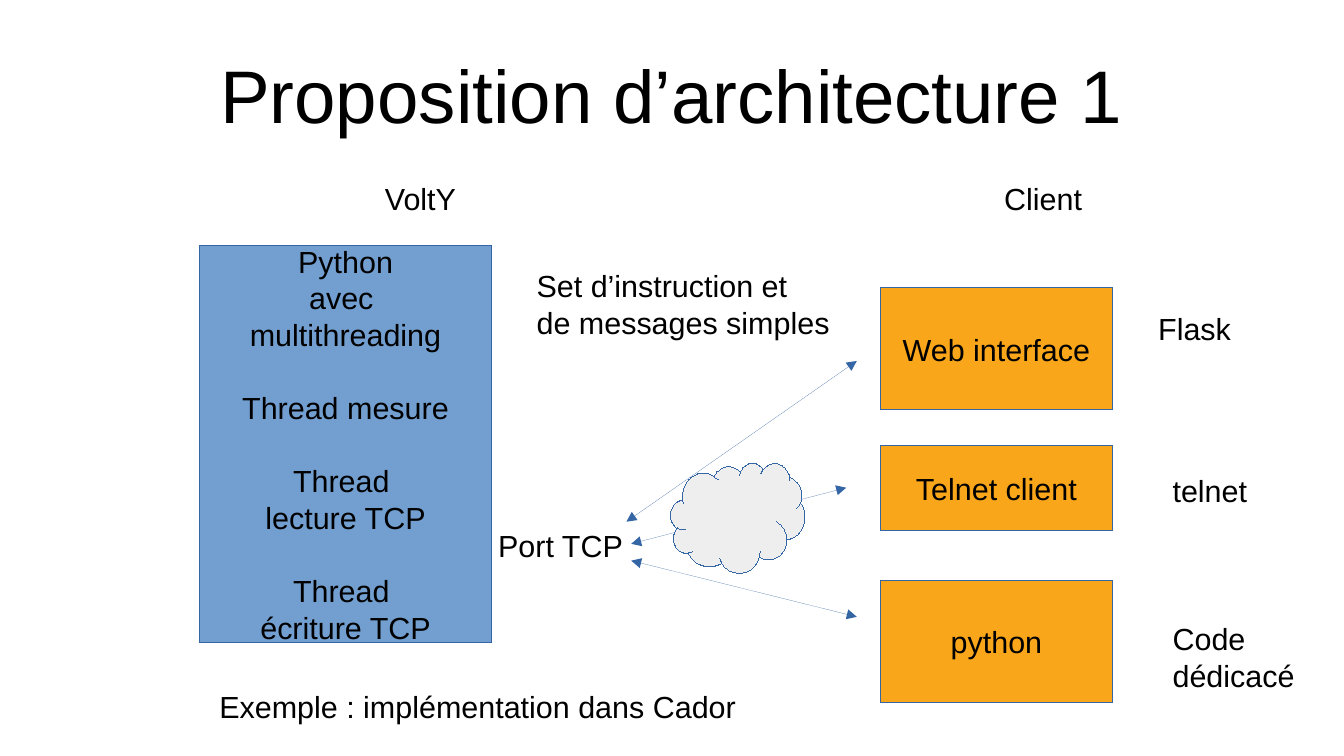
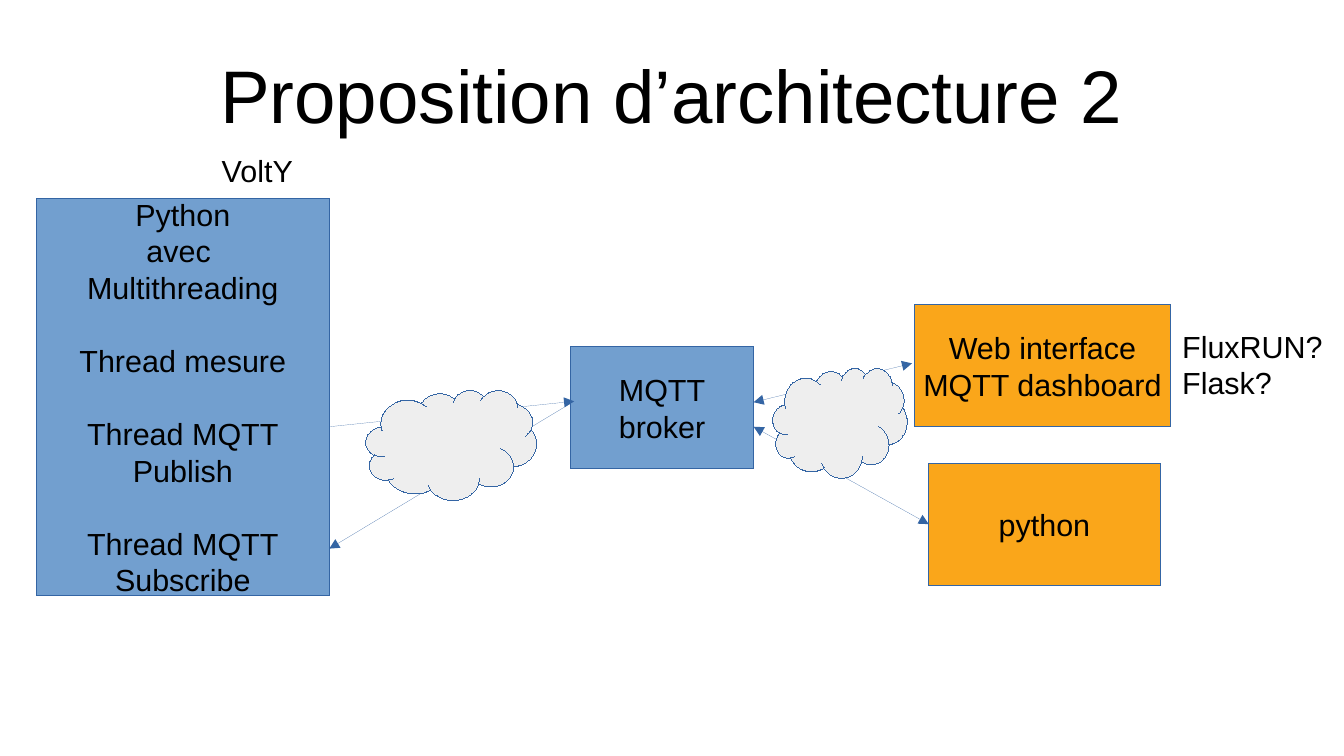
from lxml import etree
from pptx import Presentation, util as u
from pptx.dml.color import RGBColor
from pptx.enum import shapes, text
from pptx.oxml.ns import qn

BLACK = RGBColor(0x00, 0x00, 0x00)
BLUE = RGBColor(0x72, 0x9F, 0xCF)
ORANGE = RGBColor(0xFA, 0xA6, 0x1A)
GREY = RGBColor(0xEE, 0xEE, 0xEE)
OUTLINE = RGBColor(0x34, 0x65, 0xA4)

FONT = "Arial"
BODY_SIZE = 18
TITLE_SIZE = 44
BLOCK_GAP = 21.6  # one line of body text between blocks

DEVICE_SIZE = (6.1, 8.28)
CLIENT_SIZE = (4.82, 2.54)
CLOUD_SIZE = (2.8, 2.29)
LINE_HEIGHT = 0.7
CENTER = text.PP_ALIGN.CENTER


def lengths(*values):
    return [u.Cm(value) for value in values]


def write(shape, blocks, size=BODY_SIZE, align=text.PP_ALIGN.LEFT, wrap=True):
    """Write one paragraph per block, with a gap between blocks."""
    frame = shape.text_frame
    frame.word_wrap = wrap
    for index, block in enumerate(blocks):
        paragraph = frame.add_paragraph() if index else frame.paragraphs[0]
        paragraph.text = block.replace("\n", "\v")
        paragraph.alignment = align
        paragraph.space_before = u.Pt(BLOCK_GAP if index else 0)
        paragraph.font.name = FONT
        paragraph.font.size = u.Pt(size)
        paragraph.font.color.rgb = BLACK
    return frame


def draw_hairline(shape):
    """Give the shape a zero-width line, which must be written explicitly."""
    shape.line.color.rgb = OUTLINE
    properties = shape.line._get_or_add_ln()
    properties.set("w", "0")
    return properties


def add_title(slide, title):
    box = slide.shapes.add_textbox(*lengths(1.4, 0.63, 25.2, 2.64))
    frame = write(box, [title], TITLE_SIZE, CENTER)
    frame.vertical_anchor = text.MSO_ANCHOR.MIDDLE
    frame.margin_left = frame.margin_right = 0
    frame.margin_top = frame.margin_bottom = 0


def add_label(slide, label, left, top, width):
    height = 0.26 + LINE_HEIGHT * len(label.split("\n"))
    box = slide.shapes.add_textbox(*lengths(left, top, width, height))
    write(box, [label])


def add_outlined(slide, preset, position, size, color):
    shape = slide.shapes.add_shape(preset, *lengths(*position, *size))
    shape.shadow.inherit = False
    shape.fill.solid()
    shape.fill.fore_color.rgb = color
    draw_hairline(shape)
    return shape


def add_box(slide, blocks, left, top, size, color):
    shape = add_outlined(slide, shapes.MSO_SHAPE.RECTANGLE, (left, top), size, color)
    frame = write(shape, blocks, align=CENTER, wrap=False)
    frame.vertical_anchor = text.MSO_ANCHOR.MIDDLE
    return shape


def add_cloud(slide, left, top, size=CLOUD_SIZE):
    add_outlined(slide, shapes.MSO_SHAPE.CLOUD, (left, top), size, GREY)


def add_arrow(slide, start, end, heads=("headEnd", "tailEnd")):
    arrow = slide.shapes.add_connector(
        shapes.MSO_CONNECTOR.STRAIGHT, *lengths(*start, *end))
    properties = draw_hairline(arrow)
    for head in heads:
        etree.SubElement(properties, qn("a:" + head), type="triangle")
    etree.SubElement(arrow._element.spPr, qn("a:effectLst"))
    return arrow


def add_slide(presentation, title):
    slide = presentation.slides.add_slide(presentation.slide_layouts[6])
    add_title(slide, title)
    return slide


def build_tcp_slide(presentation):
    slide = add_slide(presentation, "Proposition d’architecture 1")

    # Device and clients
    add_box(slide, ["Python\navec \nmultithreading", "Thread mesure",
                    "Thread \nlecture TCP", "Thread \nécriture TCP"],
            4.15, 5.11, DEVICE_SIZE, BLUE)
    client_left, client_width = 18.35, CLIENT_SIZE[0]
    for name, top, height in (("Web interface", 6, 2.54),
                              ("Telnet client", 9.28, 1.78),
                              ("python", 12.09, 2.54)):
        add_box(slide, [name], client_left, top, (client_width, height), ORANGE)

    # Links through the network
    for start, end in (((13.15, 11.33), (17.63, 10.16)),
                       ((13.15, 11.68), (17.85, 12.85)),
                       ((13.05, 10.87), (17.85, 7.52))):
        add_arrow(slide, start, end)
    add_cloud(slide, 13.97, 9.65)

    # Labels
    for label, left, top, width in (
            ("VoltY", 7.77, 3.62, 3),
            ("Client", 20.67, 3.62, 3),
            ("Set d’instruction et\nde messages simples", 10.93, 5.44, 7.2),
            ("Port TCP", 10.13, 10.85, 3.6),
            ("Flask", 23.88, 6.33, 3),
            ("telnet", 24.18, 9.7, 3),
            ("Code \ndédicacé", 24.18, 12.8, 3.6),
            ("Exemple : implémentation dans Cador", 4.32, 14.22, 13)):
        add_label(slide, label, left, top, width)


def build_mqtt_slide(presentation):
    slide = add_slide(presentation, "Proposition d’architecture 2")

    # Device, broker and clients
    add_box(slide, ["Python\navec \nMultithreading", "Thread mesure",
                    "Thread MQTT\nPublish", "Thread MQTT\nSubscribe"],
            0.76, 4.13, DEVICE_SIZE, BLUE)
    add_box(slide, ["MQTT\nbroker"], 11.89, 7.23, (3.81, 2.54), BLUE)
    add_box(slide, ["Web interface\nMQTT dashboard"], 19.05, 6.35, (5.34, 2.54), ORANGE)
    python_client = add_box(slide, ["python"], 19.35, 9.65, CLIENT_SIZE, ORANGE)

    # Links between device and broker
    broker_port = (11.96, 8.36)
    add_arrow(slide, broker_port, (6.86, 8.89), ["headEnd"])
    add_arrow(slide, broker_port, (6.86, 11.43), ["tailEnd"])
    add_cloud(slide, 7.62, 8.13, (3.56, 2.29))

    # Links between broker and clients
    add_arrow(slide, (15.7, 8.38), (19, 7.57))
    python_link = add_arrow(slide, (15.7, 8.89), (19.35, 10.92))
    python_link.end_connect(python_client, 1)
    add_cloud(slide, 16.1, 7.67)

    # Labels
    add_label(slide, "VoltY", 4.37, 3.05, 3)
    add_label(slide, "FluxRUN?\nFlask?", 24.38, 6.7, 3.6)


def main():
    presentation = Presentation()
    presentation.slide_width, presentation.slide_height = lengths(28, 15.75)
    build_tcp_slide(presentation)
    build_mqtt_slide(presentation)
    presentation.save("out.pptx")


if __name__ == "__main__":
    main()
